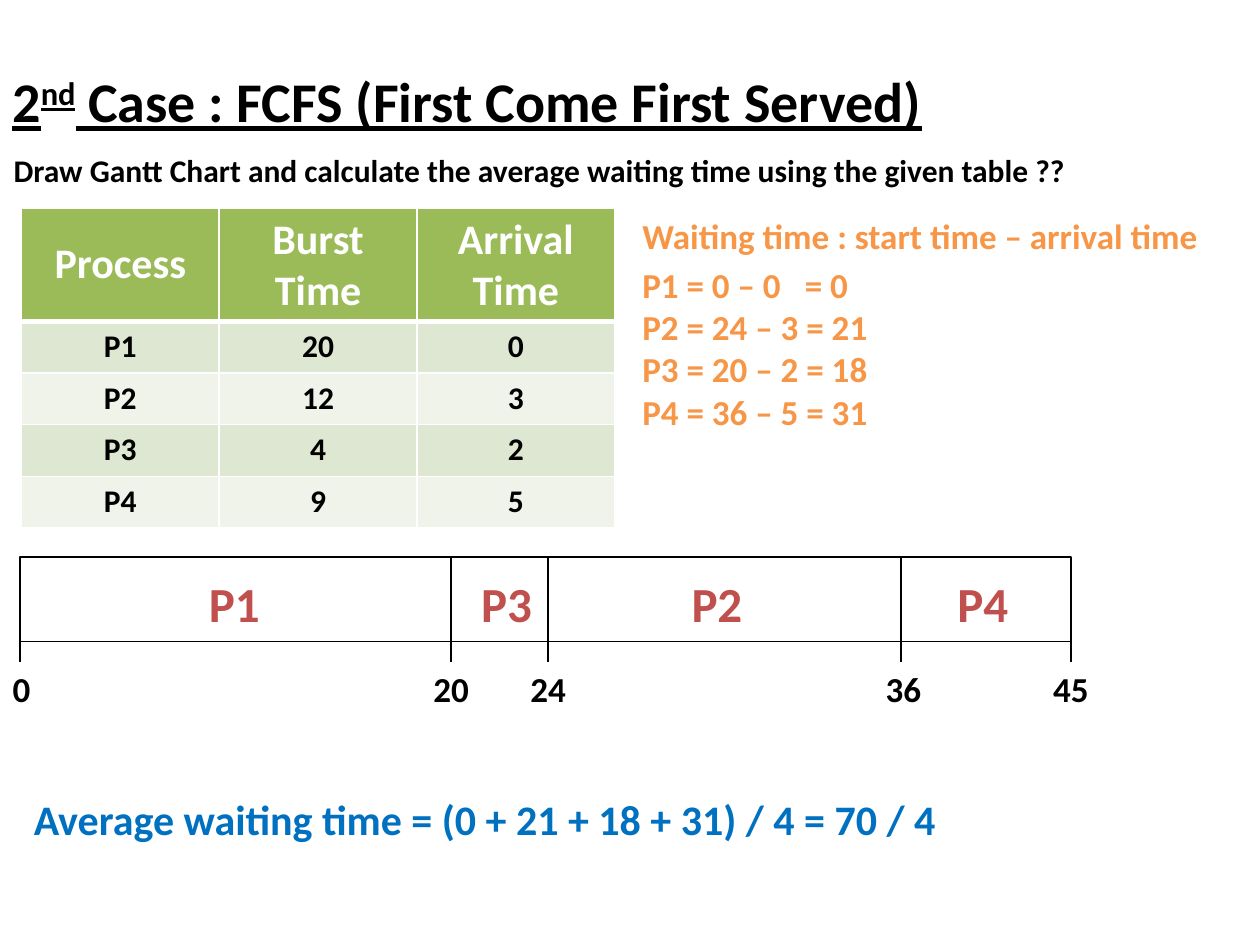
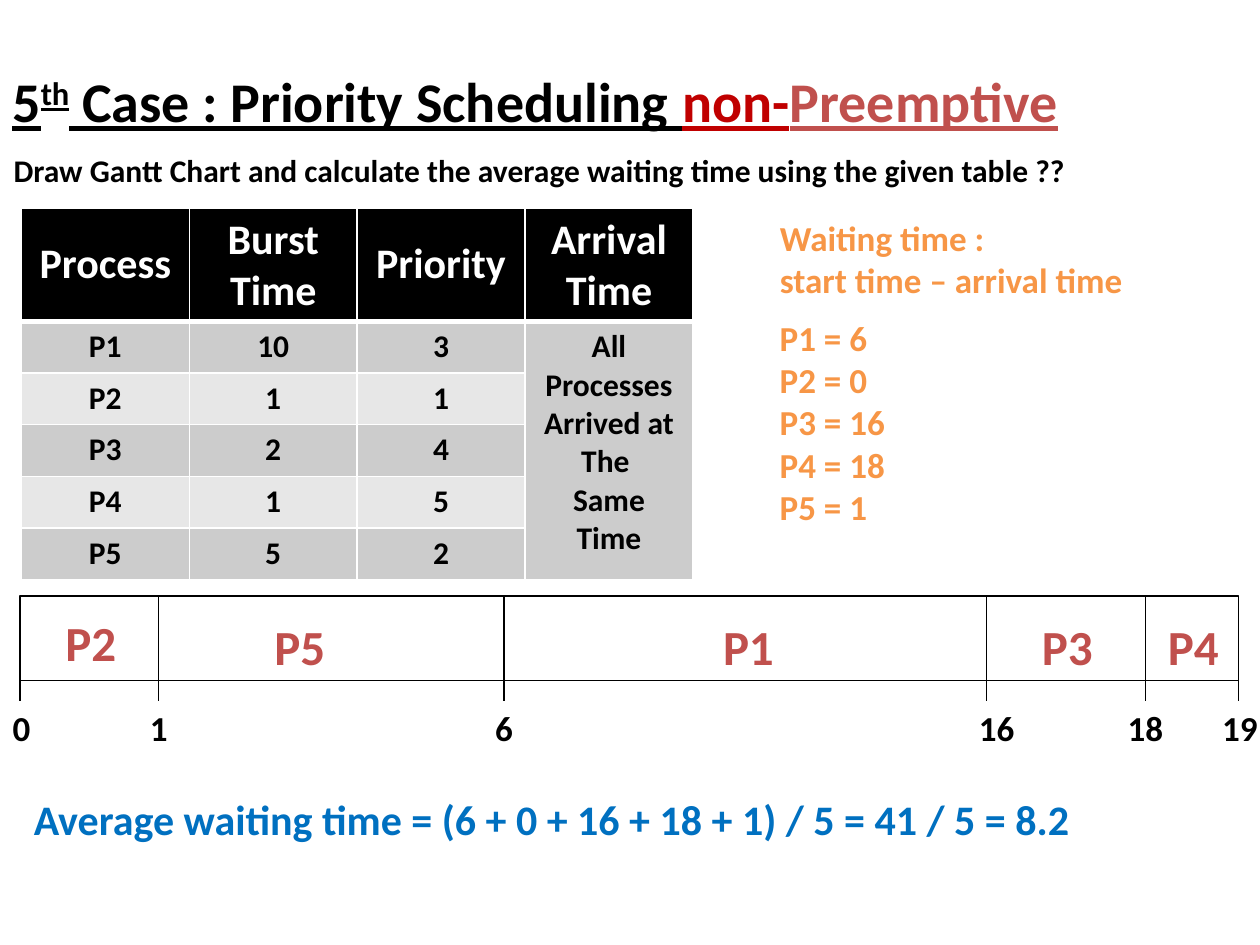
from dataclasses import dataclass
from itertools import product

from lxml import etree
from pptx import Presentation, util as u
from pptx.dml.color import RGBColor
from pptx.enum import shapes, text
from pptx.oxml import ns

COLUMNS, ROWS = 100, 75
WIDTH, HEIGHT = u.Inches(10), u.Inches(7.5)


@dataclass(frozen=True)
class Theme:
    font: str = "Calibri"
    ink: str = "000000"
    paper: str = "FFFFFF"
    waiting: str = "F79646"
    process: str = "C0504D"
    warning: str = "C00000"
    answer: str = "0070C0"
    title_size: int = 32
    process_size: int = 28
    heading_size: int = 24
    note_size: int = 20
    body_size: int = 18


THEME = Theme()


@dataclass(frozen=True)
class TableColours:
    header: str
    odd: str
    even: str


GREEN = TableColours("9BBB59", "DEE7D1", "EFF3EA")
BLACK = TableColours("000000", "CCCCCC", "E7E7E7")


@dataclass(frozen=True)
class Slice:
    """One process of a Gantt chart; edge and centre are grid columns."""
    process: str
    ends_at: int
    edge: float
    centre: float
    drop: float = 0.8
    time_shift: float = 0


def col(count):
    return round(WIDTH * count / COLUMNS)


def row(count):
    return round(HEIGHT * count / ROWS)


def area(left, top, width, height):
    return col(left), row(top), col(width), row(height)


def rgb(colour):
    return RGBColor.from_string(colour)


def add_span(para, words, size, colour):
    """Add words as runs, with a line break at each newline."""
    for number, line in enumerate(words.split("\n")):
        if number:
            para.add_line_break()
        span = para.add_run()
        span.text = line
        span.font.name = THEME.font
        span.font.size = u.Pt(size)
        span.font.bold = True
        span.font.color.rgb = rgb(colour)
    return span


def add_text(page, place, words, size, colour, grow=True):
    box = page.shapes.add_textbox(*area(*place))
    frame = box.text_frame
    frame.word_wrap = True
    frame.auto_size = (text.MSO_AUTO_SIZE.SHAPE_TO_FIT_TEXT if grow
                       else text.MSO_AUTO_SIZE.NONE)
    para = frame.paragraphs[0]
    if words:
        add_span(para, words, size, colour)
    return para


def add_label(page, centre, top, width, height, words, size, colour):
    """Add a short centred label that never wraps."""
    place = centre - width / 2, top, width, height
    para = add_text(page, place, words, size, colour)
    para.alignment = text.PP_ALIGN.CENTER
    page.shapes[-1].text_frame.word_wrap = False


def add_title(page, number, ordinal, parts):
    para = add_text(page, (0, 4.8, 100, 16.1), "", 0, THEME.ink, grow=False)
    for words, colour in [(number, THEME.ink), (ordinal, THEME.ink), *parts]:
        span = add_span(para, words, THEME.title_size, colour)
        span.font.underline = True
        if words == ordinal:
            span.font._element.set("baseline", "30000")


def set_tab(para, distance):
    tabs = etree.SubElement(para._p.get_or_add_pPr(), ns.qn("a:tabLst"))
    etree.SubElement(tabs, ns.qn("a:tab"), pos=str(col(distance)), algn="l")


def set_borders(cell, widths):
    properties = cell._tc.get_or_add_tcPr()
    for side, width in zip("LRTB", widths):
        line = etree.SubElement(properties, ns.qn(f"a:ln{side}"),
                                w=str(u.Pt(width)))
        fill = etree.SubElement(line, ns.qn("a:solidFill"))
        etree.SubElement(fill, ns.qn("a:srgbClr"), val=THEME.paper)


def add_process_table(page, width, lines, colours, shared=""):
    """Add the table; shared text fills a merged last column."""
    header_height, line_height = 8.8, 4.1
    rows, columns = len(lines), len(lines[0])
    height = header_height + line_height * (rows - 1)
    table = page.shapes.add_table(
        rows, columns, *area(1.7, 16.5, width, height)).table
    for number, line in enumerate(table.rows):
        line.height = row(line_height if number else header_height)
    for line, column in product(range(rows), range(columns)):
        cell = table.cell(line, column)
        set_borders(cell, (1, 1, 3 if line == 1 else 1, 1 if line else 3))
        cell.fill.solid()
        stripe = colours.odd if line % 2 else colours.even
        cell.fill.fore_color.rgb = rgb(stripe if line else colours.header)
        if not line:
            cell.vertical_anchor = text.MSO_ANCHOR.MIDDLE
        words = lines[line][column] if column < len(lines[line]) else ""
        if shared and (line, column) == (1, columns - 1):
            words = shared
        if words:
            para = cell.text_frame.paragraphs[0]
            para.alignment = text.PP_ALIGN.CENTER
            add_span(para, words,
                     THEME.body_size if line else THEME.heading_size,
                     THEME.ink if line else THEME.paper)
    if shared:
        table.cell(1, columns - 1).merge(table.cell(rows - 1, columns - 1))


def add_tick(page, column, top):
    tick = page.shapes.add_connector(
        shapes.MSO_CONNECTOR.STRAIGHT,
        col(column), row(top), col(column), row(top + 8.3))
    tick.line.color.rgb = rgb(THEME.ink)
    tick.line.width = u.Pt(0.75)
    etree.SubElement(tick._element.spPr, ns.qn("a:effectLst"))


def add_time(page, column, top, time):
    width = 3.4 if time < 10 else 4.9
    add_label(page, column, top + 8.3, width, 4.4, str(time),
              THEME.note_size, THEME.ink)


def add_gantt(page, top, slices):
    start = 1.6
    bar = page.shapes.add_shape(
        shapes.MSO_SHAPE.RECTANGLE,
        *area(start, top, slices[-1].edge - start, 6.7))
    bar.shadow.inherit = False
    bar.fill.solid()
    bar.fill.fore_color.rgb = rgb(THEME.paper)
    bar.line.color.rgb = rgb(THEME.ink)
    bar.line.width = u.Pt(0.75)
    add_tick(page, start, top)
    add_time(page, 1.7, top, 0)
    for part in slices:
        add_tick(page, part.edge, top)
        add_time(page, part.edge + part.time_shift, top, part.ends_at)
        add_label(page, part.centre, top + part.drop, 6.1, 5.7,
                  part.process, THEME.process_size, THEME.process)


def add_waiting_times(page, left, top, heading, width, first, times):
    """List waiting times below a heading, from row first at an even pitch."""
    size, colour, pitch = THEME.note_size, THEME.waiting, 3.36
    height = 7.7 if "\n" in heading else 4.4
    add_text(page, (left, top, width, height), heading, size, colour)
    for number, words in enumerate(times):
        place = left, first + number * pitch, 20, 4.4
        para = add_text(page, place, "", size, colour)
        if "\t" in words:
            set_tab(para, 12.9)
        add_span(para, words, size, colour)


def add_case(deck, number, ordinal, title, answer):
    page = deck.slides.add_slide(deck.slide_layouts[6])
    add_title(page, number, ordinal, title)
    add_text(page, (0.1, 11.5, 99.7, 4),
             "Draw Gantt Chart and calculate the average waiting time "
             "using the given table ??", THEME.body_size, THEME.ink)
    add_text(page, (1.7, 62.5, 90.8, 5), f"Average waiting time = {answer}",
             THEME.heading_size, THEME.answer)
    return page


def add_first_come_case(deck):
    page = add_case(deck, "2", "nd",
                    [(" Case : FCFS (First Come First Served)", THEME.ink)],
                    "(0 + 21 + 18 + 31) / 4 = 70 / 4")
    add_process_table(page, 47.1, [
        ("Process", "Burst Time", "Arrival Time"),
        ("P1", "20", "0"),
        ("P2", "12", "3"),
        ("P3", "4", "2"),
        ("P4", "9", "5")], GREEN)
    add_waiting_times(
        page, 50, 16.5, "Waiting time : start time – arrival time", 46.5, 20.4,
        ["P1 = 0 – 0\t= 0", "P2 = 24 – 3 = 21",
         "P3 = 20 – 2 = 18", "P4 = 36 – 5 = 31"])
    add_gantt(page, 44.2, [
        Slice("P1", 20, 35.8, 18.6),
        Slice("P3", 24, 43.5, 40.2),
        Slice("P2", 36, 71.5, 56.9, time_shift=0.2),
        Slice("P4", 45, 85, 78)])


def add_priority_case(deck):
    page = add_case(deck, "5", "th",
                    [(" Case : Priority Scheduling ", THEME.ink),
                     ("non-", THEME.warning), ("Preemptive", THEME.process)],
                    "(6 + 0 + 16 + 18 + 1) / 5 = 41 / 5 = 8.2")
    add_process_table(page, 53.3, [
        ("Process", "Burst Time", "Priority", "Arrival Time"),
        ("P1", "10", "3"),
        ("P2", "1", "1"),
        ("P3", "2", "4"),
        ("P4", "1", "5"),
        ("P5", "5", "2")], BLACK,
        shared="All\nProcesses\nArrived at\nThe \nSame\nTime")
    add_waiting_times(
        page, 60.9, 16.7, "Waiting time :\nstart time – arrival time", 30.1,
        24.6, ["P1 = 6", "P2 = 0", "P3 = 16", "P4 = 18", "P5 = 1"])
    add_gantt(page, 47.3, [
        Slice("P2", 1, 12.6, 7.2),
        Slice("P5", 6, 40, 23.8, drop=1.1),
        Slice("P1", 16, 78.3, 59.4, drop=1.1, time_shift=0.8),
        Slice("P3", 18, 90.9, 84.7, drop=1.1),
        Slice("P4", 19, 98.3, 94.7, drop=1.1, time_shift=0.1)])


def main():
    deck = Presentation()
    deck.slide_width, deck.slide_height = WIDTH, HEIGHT
    add_first_come_case(deck)
    add_priority_case(deck)
    deck.save("out.pptx")


if __name__ == "__main__":
    main()
